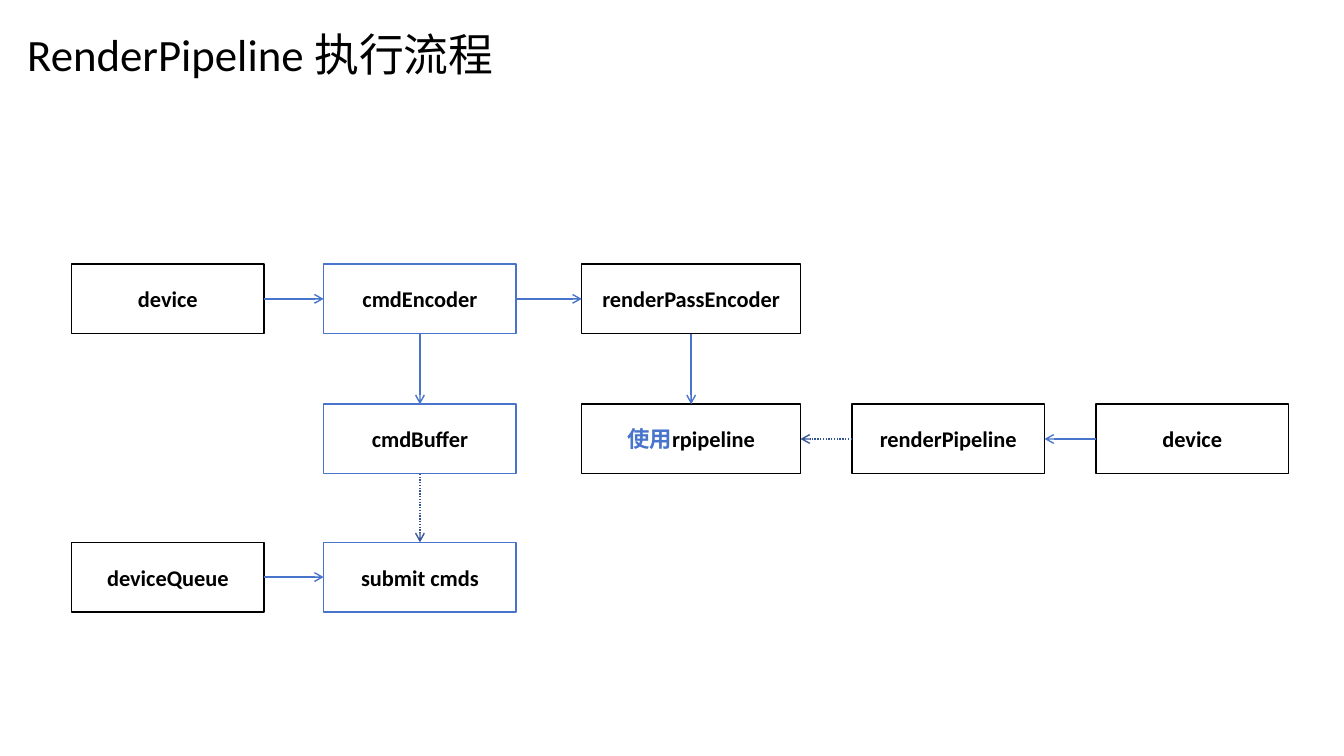
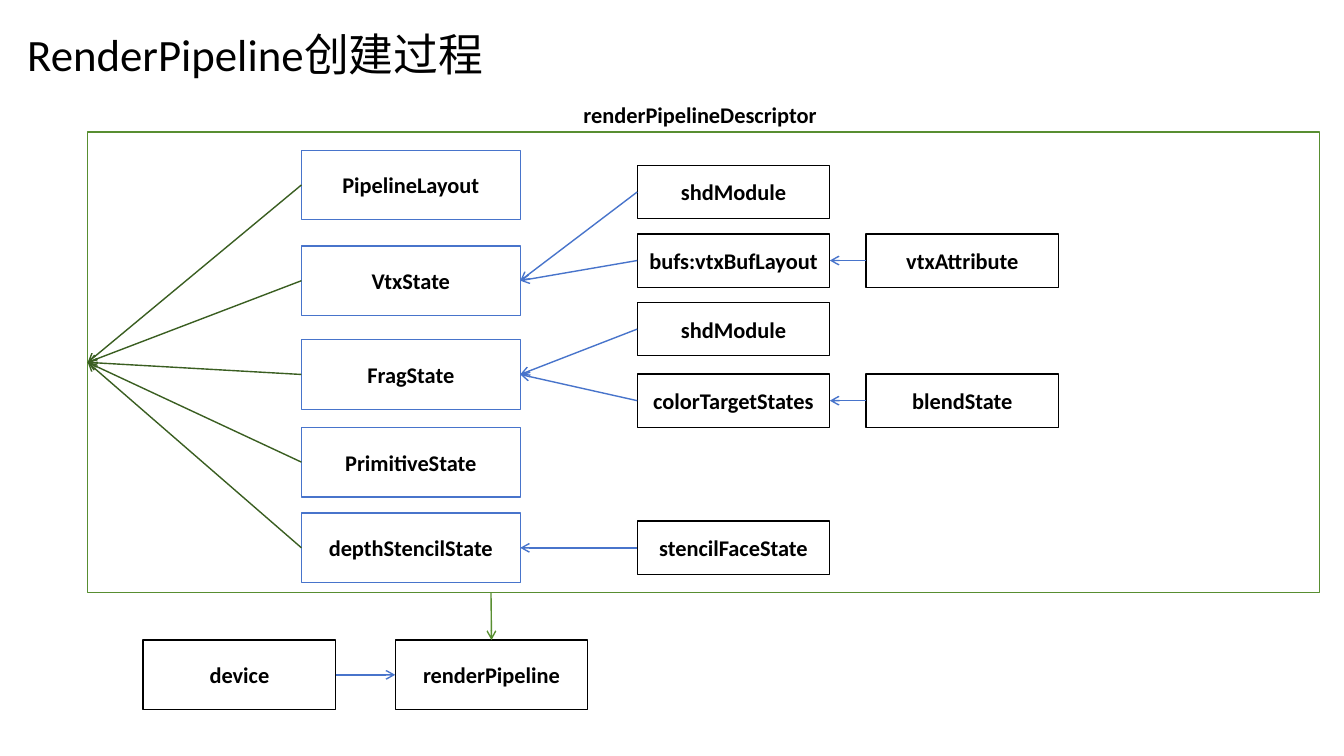
from pptx import Presentation
from pptx import util as u
from pptx.dml.color import RGBColor
from pptx.enum import dml, shapes, text
from pptx.oxml.ns import qn
from lxml import etree

BLACK, WHITE = "000000", "FFFFFF"
BLUE, DARK_BLUE = "4874CB", "355696"
GREEN, DARK_GREEN = "588E31", "3A5E21"
TOP, LEFT, BOTTOM, RIGHT = range(4)

TITLE_AREA = (0.17, 0.18, 5.14, 0.78)
NARROW, WIDE = 1.91, 2.17
TALL, LOW = 0.69, 0.53

TITLE_FONT = {"name": "Calibri", "size": u.Pt(32), "bold": False}
LABEL_FONT = {"name": "Calibri", "size": u.Pt(16), "bold": True}
TITLE_FRAME = {"word_wrap": True, "vertical_anchor": text.MSO_ANCHOR.MIDDLE}
LABEL_FRAME = {**TITLE_FRAME, "margin_left": 0, "margin_right": 0,
               "margin_top": 0, "margin_bottom": 0}
TITLE_PARAGRAPH = {"alignment": text.PP_ALIGN.LEFT, "line_spacing": 0.9}
LABEL_PARAGRAPH = {"alignment": text.PP_ALIGN.CENTER}


def color(value):
    return RGBColor.from_string(value)


def apply(target, values):
    for name, value in values.items():
        setattr(target, name, value)


def inches(*lengths):
    return [u.Inches(length) for length in lengths]


class Diagram:
    """Holds the presentation, its style and the slide being drawn."""

    def __init__(self):
        self.presentation = Presentation()
        width, height = inches(13.33, 7.5)
        apply(self.presentation, {"slide_width": width, "slide_height": height})
        self.slide = None

    def add_text(self, shape, runs, font, frame, paragraph_format):
        """Fill a shape with one paragraph of (wording, colour) runs."""
        apply(shape.text_frame, frame)
        paragraph = shape.text_frame.paragraphs[0]
        apply(paragraph, paragraph_format)
        for wording, text_color in runs:
            run = paragraph.add_run()
            run.text = wording
            apply(run.font, font)
            run.font.color.rgb = color(text_color)

    def label(self, shape, runs):
        self.add_text(shape, runs, LABEL_FONT, LABEL_FRAME, LABEL_PARAGRAPH)

    def new_slide(self, title):
        layout = self.presentation.slide_layouts.get_by_name("Title Only")
        self.slide = self.presentation.slides.add_slide(layout)
        shape = self.slide.shapes.title
        apply(shape, dict(zip(("left", "top", "width", "height"),
                              inches(*TITLE_AREA))))
        self.add_text(shape, [(title, BLACK)], TITLE_FONT, TITLE_FRAME,
                      TITLE_PARAGRAPH)

    def frame(self, left, top, width, height, line=GREEN):
        shape = self.slide.shapes.add_shape(
            shapes.MSO_SHAPE.RECTANGLE, *inches(left, top, width, height))
        shape.shadow.inherit = False
        shape.fill.background()
        shape.line.color.rgb = color(line)
        shape.line.width = u.Pt(1)
        return shape

    def box(self, wording, left, top, width=NARROW, height=TALL, line=BLACK):
        """Draw a white labelled box; wording is a string or a list of runs."""
        shape = self.frame(left, top, width, height, line)
        shape.fill.solid()
        shape.fill.fore_color.rgb = color(WHITE)
        runs = [(wording, BLACK)] if isinstance(wording, str) else wording
        self.label(shape, runs)
        return shape

    def caption(self, wording, left, top, width, height):
        shape = self.slide.shapes.add_textbox(*inches(left, top, width, height))
        self.label(shape, [(wording, BLACK)])

    def arrow(self, start, end, line=BLUE, dotted=False):
        """Link two (shape, side) ends; start may also be an (x, y) point."""
        connector = self.slide.shapes.add_connector(
            shapes.MSO_CONNECTOR.STRAIGHT, 0, 0, 0, 0)
        connector.end_connect(*end)
        if isinstance(start[0], float):
            connector.begin_x, connector.begin_y = inches(*start)
        else:
            connector.begin_connect(*start)
        connector.line.color.rgb = color(line)
        connector.line.width = u.Pt(1)
        if dotted:
            connector.line.dash_style = dml.MSO_LINE.ROUND_DOT
        properties = connector._element.spPr
        etree.SubElement(properties.find(qn("a:ln")), qn("a:tailEnd"),
                         type="arrow")
        etree.SubElement(properties, qn("a:effectLst"))


def draw_execution(diagram):
    diagram.new_slide("RenderPipeline 执行流程")
    columns = (0.71, 3.21, 5.77, 8.45, 10.87)
    rows = (2.62, 4.01, 5.38)

    def box(wording, column, row, **style):
        return diagram.box(wording, columns[column], rows[row], **style)

    device = box("device", 0, 0)
    encoder = box("cmdEncoder", 1, 0, line=BLUE)
    pass_encoder = box("renderPassEncoder", 2, 0, width=WIDE)
    buffer = box("cmdBuffer", 1, 1, line=BLUE)
    use_pipeline = box([("使用", BLUE), ("rpipeline", BLACK)], 2, 1, width=WIDE)
    pipeline = box("renderPipeline", 3, 1)
    pipeline_device = box("device", 4, 1)
    queue = box("deviceQueue", 0, 2)
    submit = box("submit cmds", 1, 2, line=BLUE)

    for source, target in ((device, encoder), (encoder, pass_encoder),
                           (queue, submit)):
        diagram.arrow((source, RIGHT), (target, LEFT))
    for source, target in ((encoder, buffer), (pass_encoder, use_pipeline)):
        diagram.arrow((source, BOTTOM), (target, TOP))
    diagram.arrow((pipeline_device, LEFT), (pipeline, RIGHT))
    diagram.arrow((pipeline, LEFT), (use_pipeline, RIGHT), DARK_BLUE, True)
    diagram.arrow((buffer, BOTTOM), (submit, TOP), DARK_BLUE, True)


def draw_creation(diagram):
    diagram.new_slide("RenderPipeline创建过程")
    diagram.caption("renderPipelineDescriptor", 5.58, 0.97, 2.73, 0.34)
    descriptor = diagram.frame(0.87, 1.31, 12.22, 4.57)

    # Each state: wording, top, inputs; each input: wording, top, its own source
    states = (
        ("PipelineLayout", 1.49, ()),
        ("VtxState", 2.44, (("shdModule", 1.64, None),
                            ("bufs:vtxBufLayout", 2.32, "vtxAttribute"))),
        ("FragState", 3.37, (("shdModule", 3.0, None),
                             ("colorTargetStates", 3.71, "blendState"))),
        ("PrimitiveState", 4.24, ()),
        ("depthStencilState", 5.09, (("stencilFaceState", 5.17, None),)),
    )
    for state_name, state_top, inputs in states:
        state = diagram.box(state_name, 2.99, state_top, WIDE, line=BLUE)
        diagram.arrow((state, LEFT), (descriptor, LEFT), DARK_GREEN)
        for input_name, top, source_name in inputs:
            state_input = diagram.box(input_name, 6.32, top, height=LOW)
            diagram.arrow((state_input, LEFT), (state, RIGHT))
            if source_name:
                source = diagram.box(source_name, 8.59, top, height=LOW)
                diagram.arrow((source, LEFT), (state_input, RIGHT))

    device = diagram.box("device", 1.42, 6.35)
    pipeline = diagram.box("renderPipeline", 3.92, 6.35)
    diagram.arrow((device, RIGHT), (pipeline, LEFT))
    diagram.arrow((4.87, 5.88), (pipeline, TOP), GREEN)


def main():
    diagram = Diagram()
    draw_execution(diagram)
    draw_creation(diagram)
    diagram.presentation.save("out.pptx")


if __name__ == "__main__":
    main()
